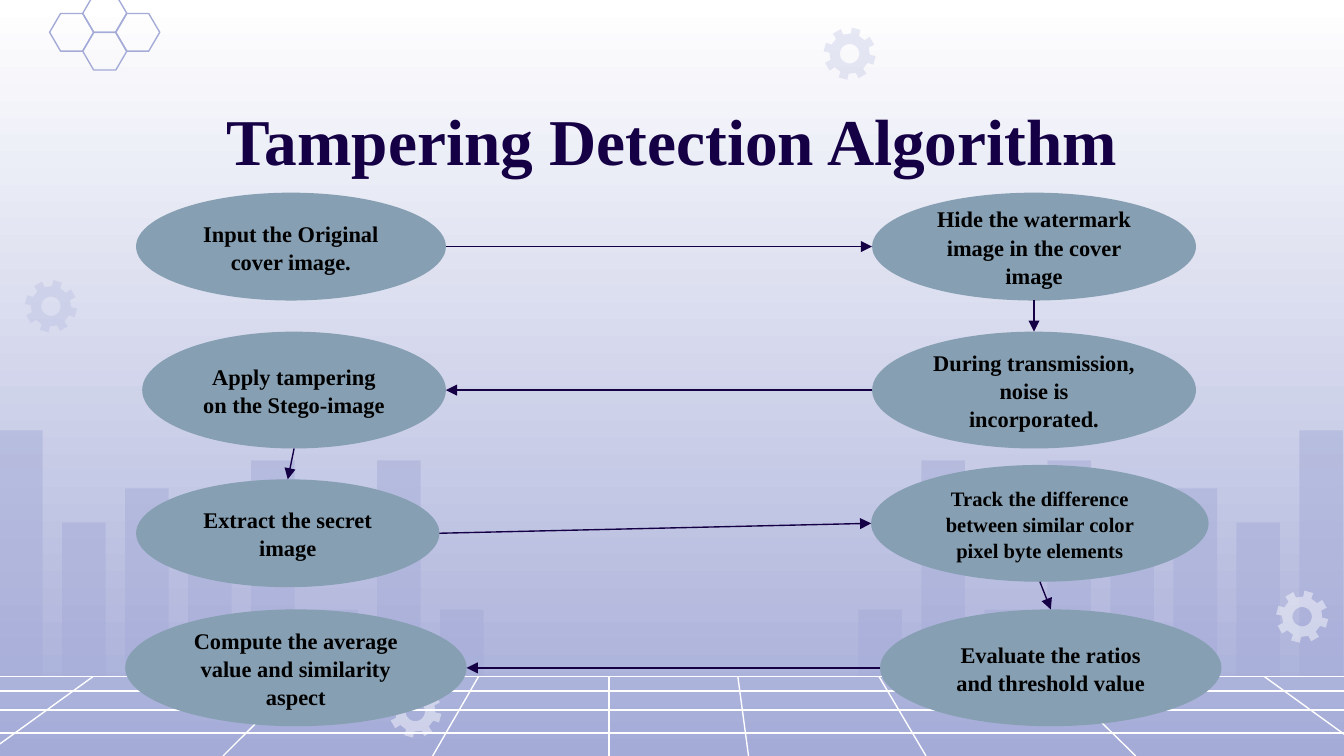
import math
import pptx
import pptx.util
import pptx.dml.color
import pptx.enum.shapes
import pptx.enum.text
import pptx.oxml
import pptx.oxml.ns
from lxml import etree

Pt = pptx.util.Pt
SHAPE = pptx.enum.shapes.MSO_SHAPE
ANCHOR = pptx.enum.text.MSO_ANCHOR

W, H = 720, 405
FONT = "Times New Roman"
COLORS = {"white": "FFFFFF", "lilac": "A4ABD7", "navy": "150045",
          "step": "869FB2", "black": "000000"}

TITLE = "Tampering Detection Algorithm"
STEPS = {
    "input": ("Input the Original cover image.", 72.9, 103.2, 166, 57.8, 12),
    "hide": ("Hide the watermark image in the cover image", 467.2, 103.2, 173.5, 57.8, 12),
    "noise": ("During transmission, noise is incorporated.", 467.2, 177.7, 173.5, 62.6, 12),
    "tamper": ("Apply tampering on the Stego-image", 76.2, 177.7, 162.7, 62.6, 12),
    "extract": ("Extract the secret image", 72.9, 256.8, 162.5, 57.8, 12),
    "track": ("Track the difference between similar color pixel byte elements",
              466.7, 249.1, 180.8, 62.6, 11),
    "evaluate": ("Evaluate the ratios and threshold value", 471.5, 326.5, 182.9, 62.6, 12),
    "compute": ("Compute the average value and similarity aspect", 67.1, 326.5, 182.9, 62.6, 12),
}
ARROWS = [
    ("input", "right", "hide", "left"),
    ("hide", "bottom", "noise", "top"),
    ("noise", "left", "tamper", "right"),
    ("tamper", "bottom", "extract", "top"),
    ("extract", "right", "track", "left"),
    ("track", "bottom", "evaluate", "top"),
    ("evaluate", "left", "compute", "right"),
]
SIDES = {"left": (0, 0.5), "right": (1, 0.5), "top": (0.5, 0), "bottom": (0.5, 1)}

FLOOR = 362.6
BAR_HEIGHTS = [132, 82.6, 101, 82.6, 116, 36, 116, 36]
BAR_W, BAR_PITCH, BAR_START, BAR_SPAN = 23.4, 33.75, -0.5, 719
GRID_ROWS = [FLOOR, 370.3, 380.3, 392.6]
GRID_RAYS = [(49.7, -0.7, 399), (162, 119.5, H), (256.3, 231.8, H), (326.2, 326.2, H),
             (395.3, 401, H), (471, 496.1, H), (565.2, 608.4, H), (677.5, 727.9, 399)]
GEARS = [(27.3, 164.1, "lilac", 25), (697.6, 330.4, "white", 45),
         (222.5, 381.2, "white", 45), (455.2, 28.8, "lilac", 25)]
HEXAGONS = [(26.6, 7.2), (61.9, 7.2), (44.3, -2.9), (44.3, 17.3)]
HEX_W, HEX_H, HEX_CUT = 23.7, 20.2, 5.9


def rgb(name):
    return pptx.dml.color.RGBColor.from_string(COLORS[name])


def paint(shape, color, alpha=100):
    shape.shadow.inherit = False
    shape.line.fill.background()
    shape.fill.solid()
    shape.fill.fore_color.rgb = rgb(color)
    if alpha < 100:
        clr = shape.fill._xPr.find(".//" + pptx.oxml.ns.qn("a:srgbClr"))
        etree.SubElement(clr, pptx.oxml.ns.qn("a:alpha")).set("val", str(alpha * 1000))


def set_text(shape, text, size, color, anchor, spacing):
    tf = shape.text_frame
    tf.word_wrap = True
    tf.auto_size = pptx.enum.text.MSO_AUTO_SIZE.NONE
    tf.vertical_anchor = anchor
    tf.margin_left = tf.margin_right = tf.margin_top = tf.margin_bottom = Pt(7.2)
    p = tf.paragraphs[0]
    p.alignment = pptx.enum.text.PP_ALIGN.CENTER
    p.line_spacing = spacing
    p.space_before = Pt(0)
    r = p.add_run()
    r.text = text
    r.font.name, r.font.size, r.font.bold = FONT, Pt(size), True
    r.font.color.rgb = rgb(color)


def add_line(s, start, end, color, arrow=False):
    line = s.shapes.add_connector(pptx.enum.shapes.MSO_CONNECTOR.STRAIGHT,
                                  *[Pt(v) for v in (*start, *end)])
    line.line.width = Pt(0.75)
    line.line.color.rgb = rgb(color)
    if arrow:
        ln = line.line._get_or_add_ln()
        etree.SubElement(ln, pptx.oxml.ns.qn("a:tailEnd")).set("type", "triangle")
    etree.SubElement(line._element.spPr, pptx.oxml.ns.qn("a:effectLst"))


def add_outline(s, *contours):
    builder = None
    for contour in contours:
        pts = [(Pt(x), Pt(y)) for x, y in contour]
        if builder is None:
            builder = s.shapes.build_freeform(*pts[0])
        else:
            builder.move_to(*pts[0])
        builder.add_line_segments(pts[1:], close=True)
    return builder.convert_to_shape()


def polar(cx, cy, radius, degrees):
    a = math.radians(degrees)
    return cx + radius * math.cos(a), cy + radius * math.sin(a)


def add_gear(s, cx, cy, color, alpha):
    tooth = [(10.8, -12), (14, -10), (14, 10), (10.8, 12)]
    rim = [polar(cx, cy, radius, 30.5 + 45 * i + turn)
           for i in range(8) for radius, turn in tooth]
    hole = [polar(cx, cy, 5.2, -15 * i) for i in range(24)]
    gear = add_outline(s, rim, hole)
    gear.rotation = 29.5
    paint(gear, color, alpha)


def add_hexagon(s, x, y):
    right, mid, bottom = x + HEX_W, y + HEX_H / 2, y + HEX_H
    hexagon = add_outline(s, [(right - HEX_CUT, y), (x + HEX_CUT, y), (x, mid),
                              (x + HEX_CUT, bottom), (right - HEX_CUT, bottom), (right, mid)])
    hexagon.shadow.inherit = False
    hexagon.fill.background()
    hexagon.line.width = Pt(0.75)
    hexagon.line.color.rgb = rgb("lilac")


def add_backdrop(s):
    fill = s.background.fill
    fill.gradient()
    fill.gradient_angle = 270
    for stop, color, position in zip(fill.gradient_stops, ("white", "lilac"), (0, 1)):
        stop.color.rgb = rgb(color)
        stop.position = position
    for i, height in enumerate(BAR_HEIGHTS):
        x = BAR_START + i * BAR_PITCH
        for left in (x, BAR_SPAN - x - BAR_W):
            bar = s.shapes.add_shape(SHAPE.RECTANGLE, Pt(left), Pt(FLOOR - height),
                                     Pt(BAR_W), Pt(height))
            paint(bar, "lilac", 47)
    for y in GRID_ROWS:
        add_line(s, (0, y), (W, y), "white")
    for top_x, end_x, end_y in GRID_RAYS:
        add_line(s, (end_x, end_y), (top_x, FLOOR), "white")
    for gear in GEARS:
        add_gear(s, *gear)
    for corner in HEXAGONS:
        add_hexagon(s, *corner)


def side_point(step, side):
    x, y, w, h = STEPS[step][1:5]
    fx, fy = SIDES[side]
    return x + w * fx, y + h * fy


def main():
    prs = pptx.Presentation()
    prs.slide_width, prs.slide_height = Pt(W), Pt(H)
    s = prs.slides.add_slide(prs.slide_layouts[5])
    add_backdrop(s)
    title = s.shapes.title
    title.left, title.top, title.width, title.height = Pt(56.9), Pt(42.5), Pt(607), Pt(45.4)
    set_text(title, TITLE, size=35, color="navy", anchor=ANCHOR.TOP, spacing=1.1)
    for text, x, y, w, h, size in STEPS.values():
        sp = s.shapes.add_shape(SHAPE.FLOWCHART_CONNECTOR, Pt(x), Pt(y), Pt(w), Pt(h))
        paint(sp, "step")
        set_text(sp, text, size=size, color="black", anchor=ANCHOR.MIDDLE, spacing=1.05)
    for source, out_side, target, in_side in ARROWS:
        add_line(s, side_point(source, out_side), side_point(target, in_side), "navy", arrow=True)
    prs.save("out.pptx")


if __name__ == "__main__":
    main()
